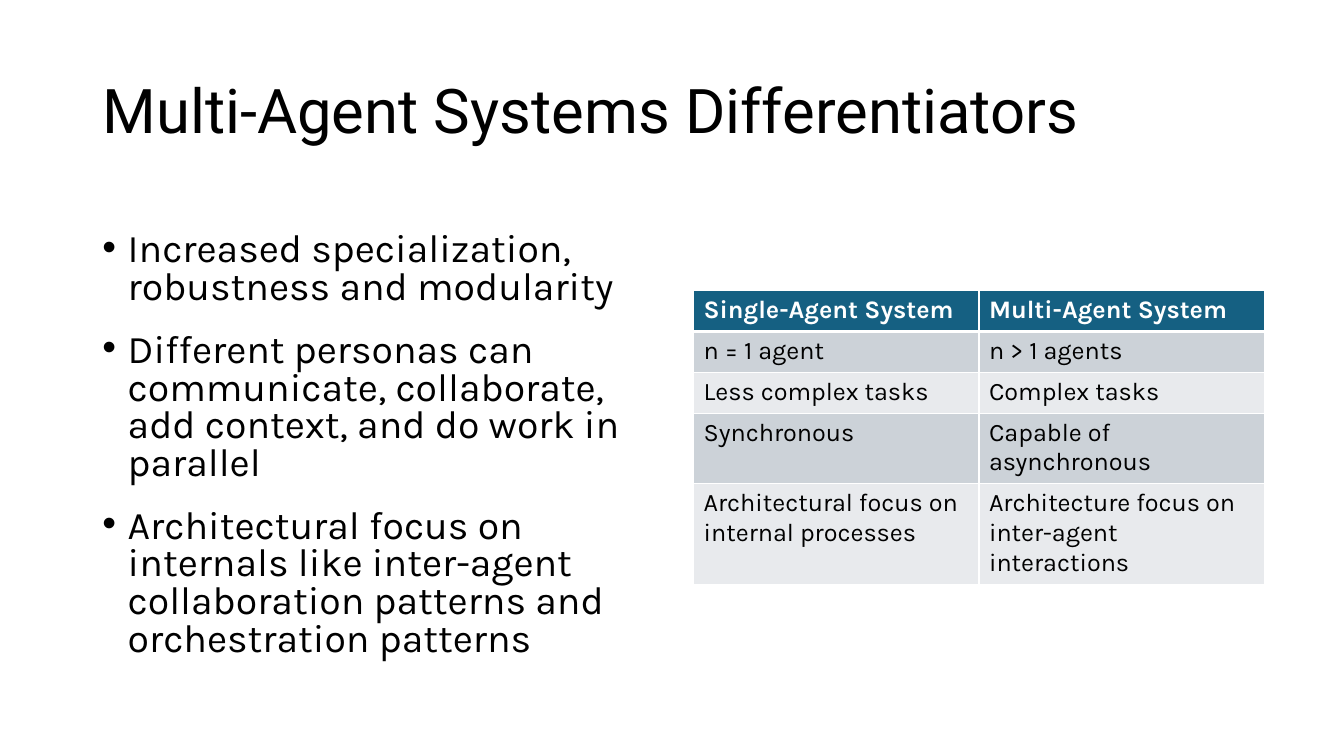
from lxml import etree
from pptx import Presentation
from pptx.dml.color import RGBColor
from pptx.enum.text import MSO_ANCHOR
from pptx.oxml.ns import qn
from pptx.util import Cm, Pt

MIDDLE = MSO_ANCHOR.MIDDLE
TOP = MSO_ANCHOR.TOP

COLORS = {
    "text": "000000",
    "white": "FFFFFF",
    "header": "156082",
    "odd": "CCD2D8",
    "even": "E8EAED",
}
TITLE_FONT = "Roboto"
BODY_FONT = "Karla"

BULLETS = [
    "Increased specialization, robustness and modularity",
    "Different personas can communicate, collaborate, add context, and do work in parallel",
    "Architectural focus on internals like inter-agent collaboration patterns and orchestration patterns",
]
COMPARISON = [
    ("Single-Agent System", "Multi-Agent System"),
    ("n = 1 agent", "n > 1 agents"),
    ("Less complex tasks", "Complex tasks"),
    ("Synchronous", "Capable of asynchronous"),
    ("Architectural focus on internal processes",
     "Architecture focus on inter-agent interactions"),
]


def rgb(name):
    return RGBColor.from_string(COLORS[name])


def add_run(p, text, size, font, color="text", bold=False):
    r = p.add_run()
    r.text = text
    r.font.size = Pt(size)
    r.font.name = font
    r.font.bold = bold
    r.font.color.rgb = rgb(color)


def add_text_frame(s, left, top, width, height, anchor):
    sp = s.shapes.add_textbox(Cm(left), Cm(top), Cm(width), Cm(height))
    tf = sp.text_frame
    tf.word_wrap = True
    tf.vertical_anchor = anchor
    return tf


def add_title(s, text):
    tf = add_text_frame(s, 2.33, 1.01, 29.21, 3.68, MIDDLE)
    p = tf.paragraphs[0]
    p.line_spacing = 0.9
    add_run(p, text, 44, TITLE_FONT)


def set_bullet(p):
    pPr = p._p.get_or_add_pPr()
    pPr.set("marL", str(Cm(0.64)))
    pPr.set("indent", str(Cm(-0.64)))
    etree.SubElement(pPr, qn("a:buFont")).set("typeface", "Arial")
    etree.SubElement(pPr, qn("a:buChar")).set("char", "•")


def add_bullets(s, items):
    tf = add_text_frame(s, 2.33, 5.74, 14.33, 11.46, TOP)
    for i, text in enumerate(items):
        p = tf.add_paragraph() if i else tf.paragraphs[0]
        set_bullet(p)
        p.line_spacing = 0.8
        if i:
            p.space_before = Pt(18)
        add_run(p, text, 28, BODY_FONT)


def set_borders(cell, top, bottom):
    """Draw white borders; top and bottom are widths in points."""
    tcPr = cell._tc.get_or_add_tcPr()
    for side, width in (("L", 1), ("R", 1), ("T", top), ("B", bottom)):
        ln = etree.SubElement(tcPr, qn(f"a:ln{side}"), w=str(Pt(width)))
        fill = etree.SubElement(ln, qn("a:solidFill"))
        etree.SubElement(fill, qn("a:srgbClr"), val=COLORS["white"])


def add_comparison_table(s, rows):
    col_width, row_height = Cm(7.19), Cm(1.03)
    n_cols = len(rows[0])
    table = s.shapes.add_table(len(rows), n_cols, Cm(17.48), Cm(7.32),
                               col_width * n_cols, row_height * len(rows)).table
    for col in table.columns:
        col.width = col_width
    for i, texts in enumerate(rows):
        table.rows[i].height = row_height
        header = i == 0
        fill = "header" if header else "odd" if i % 2 else "even"
        for j, text in enumerate(texts):
            cell = table.cell(i, j)
            set_borders(cell, top=3 if i == 1 else 1, bottom=3 if header else 1)
            cell.fill.solid()
            cell.fill.fore_color.rgb = rgb(fill)
            add_run(cell.text_frame.paragraphs[0], text, 18, BODY_FONT,
                    "white" if header else "text", header)


def main():
    prs = Presentation()
    prs.slide_width, prs.slide_height = Cm(33.87), Cm(19.05)
    s = prs.slides.add_slide(prs.slide_layouts[6])
    add_title(s, "Multi-Agent Systems Differentiators")
    add_bullets(s, BULLETS)
    add_comparison_table(s, COMPARISON)
    prs.save("out.pptx")


if __name__ == "__main__":
    main()
